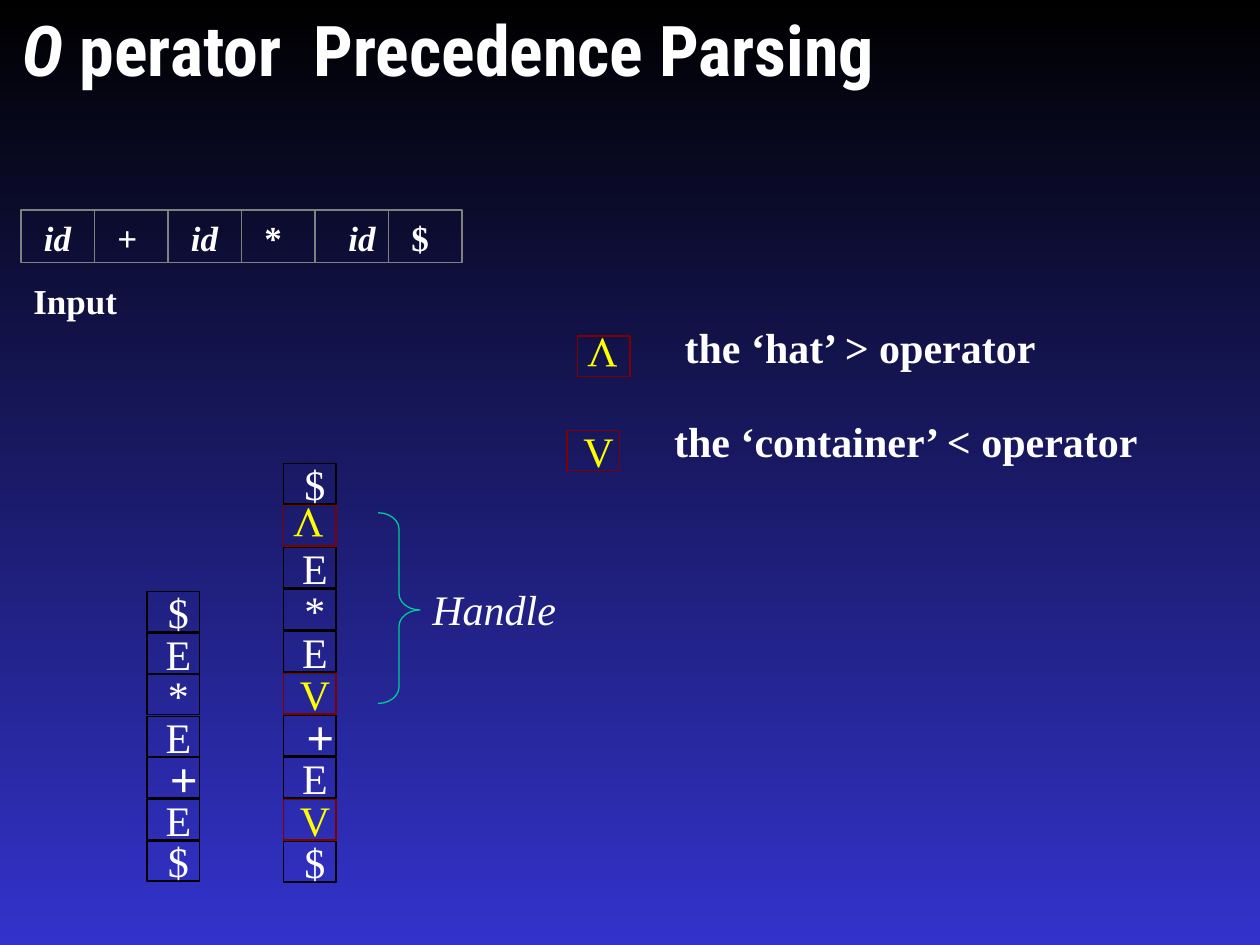
from lxml.etree import SubElement
from pptx import Presentation
from pptx.dml.color import RGBColor
from pptx.enum.shapes import MSO_CONNECTOR, MSO_SHAPE
from pptx.enum.text import MSO_ANCHOR, PP_ALIGN
from pptx.oxml.ns import qn
from pptx.util import Pt

WHITE, YELLOW, GRAY = "FFFFFF", "FFFF00", "808080"
BLACK, MAROON, GREEN = "000000", "800000", "00CC99"
CELL_WIDTH, CELL_HEIGHT = 30, 23


def color(hex_value):
    return RGBColor.from_string(hex_value)


def points(*values):
    return [Pt(value) for value in values]


class SlideBuilder:
    font = "Times New Roman"
    line_width = 0.75

    def __init__(self, slide):
        self.slide = slide
        self.shapes = slide.shapes

    def start_group(self):
        """Place the elements that follow in a new group."""
        self.shapes = self.slide.shapes.add_group_shape().shapes

    def background(self, *stop_colors):
        fill = self.slide.background.fill
        fill.gradient()
        fill.gradient_angle = 270
        for stop, stop_color in zip(fill.gradient_stops, stop_colors):
            stop.color.rgb = color(stop_color)

    def stroke(self, line, line_color):
        line.color.rgb = color(line_color)
        line.width = Pt(self.line_width)

    def outline(self, left, top, width, height, line_color, kind=MSO_SHAPE.RECTANGLE):
        shape = self.shapes.add_shape(kind, *points(left, top, width, height))
        shape.shadow.inherit = False
        shape.fill.background()
        self.stroke(shape.line, line_color)
        return shape

    def line(self, left, top, bottom):
        connector = self.shapes.add_connector(
            MSO_CONNECTOR.STRAIGHT, *points(left, top, left, bottom))
        self.stroke(connector.line, GRAY)
        SubElement(connector._element.spPr, qn("a:effectLst"))
        return connector

    def span(self, para, text, text_color=WHITE, **formats):
        span = para.add_run()
        span.text = text
        span.font.color.rgb = color(text_color)
        for name, value in ({"name": self.font, "size": Pt(24)} | formats).items():
            setattr(span.font, name, value)

    def text(self, left, top, width, height, spans, text_color=WHITE, indent=0, **formats):
        """Add a text box; spans holds (text, formats) pairs."""
        box = self.shapes.add_textbox(*points(left, top, width, height))
        box.text_frame.word_wrap = True
        box.text_frame.margin_left = Pt(7.2 + indent)
        for text, span_formats in spans:
            self.span(box.text_frame.paragraphs[0], text, text_color,
                      **(formats | span_formats))
        return box

    def cell(self, left, top, symbol):
        """Add a stack cell; the precedence operators V and Λ are yellow."""
        line_color = MAROON if symbol in "VΛ" else BLACK
        box = self.outline(left, top, CELL_WIDTH, CELL_HEIGHT, line_color)
        if symbol == "Λ":
            hat = self.text(left - 12, top - 6.5, 42, 36, [("V", {})], YELLOW)
            hat.rotation = 180.6
            return
        is_plus = symbol == "+"
        frame = box.text_frame
        settings = {"word_wrap": False, "vertical_anchor": MSO_ANCHOR.MIDDLE,
                    "margin_left": Pt(12 if is_plus else 6), "margin_right": 0}
        for name, value in settings.items():
            setattr(frame, name, value)
        para = frame.paragraphs[0]
        para.alignment = PP_ALIGN.CENTER
        formats = {"size": Pt(28), "bold": True} if is_plus else {}
        self.span(para, symbol, YELLOW if symbol == "V" else WHITE, **formats)

    def stack(self, left, top, step, symbols):
        self.start_group()
        for row, symbol in enumerate(symbols):
            self.cell(left, top + row * step, symbol)

    def brace(self, left, top, width, height):
        brace = self.outline(left, top, width, height, GREEN, MSO_SHAPE.RIGHT_BRACE)
        brace.adjustments[0] = 0.39
        brace.adjustments[1] = 0.51


def input_row(builder):
    left, top, step, height = 12, 120, 42, 30
    small = {"size": Pt(20), "bold": True}
    builder.start_group()
    frame = builder.outline(left, top, 6 * step, height, GRAY)
    for column in range(1, 6):
        divider = builder.line(left + column * step, top, top + height)
        if column == 3:
            divider.begin_connect(frame, 0)
            divider.end_connect(frame, 2)
    tokens = [(18, "id"), (60, "+"), (102, "id"), (144, "*"), (192, "id"), (228, "$")]
    for token_left, token in tokens:
        builder.text(token_left, top, 36, 32, [(token, {"italic": token == "id"})], **small)
    builder.text(12, 156, 78, 32, [("Input", {})], **small)


def legend(builder):
    builder.start_group()
    entries = [(330, 192, 240, "Λ", "the ‘hat’ > operator"),
               (324, 246, 336, "V", "the ‘container’ < operator")]
    for left, top, width, symbol, meaning in entries:
        builder.cell(left, top, symbol)
        builder.text(left + 48, top - 12, width, 36, [(meaning, {})], indent=6, bold=True)


def main():
    deck = Presentation()
    deck.slide_width, deck.slide_height = points(720, 540)
    builder = SlideBuilder(deck.slides.add_slide(deck.slide_layouts[6]))
    builder.background(BLACK, "3333CC")
    builder.text(6, 0, 522, 104,
                 [("O ", {"italic": True}), ("perator  Precedence Parsing", {})],
                 name="Roboto Condensed", size=Pt(40), bold=True)
    input_row(builder)
    legend(builder)
    builder.stack(162, 265, 24, "$ΛE*EV+EV$")
    builder.stack(84, 338, 23.75, "$E*E+E$")
    builder.start_group()
    builder.brace(216, 293, 24, 109)
    builder.text(240, 330, 102, 36, [("Handle", {})], italic=True)
    deck.save("out.pptx")


if __name__ == "__main__":
    main()
